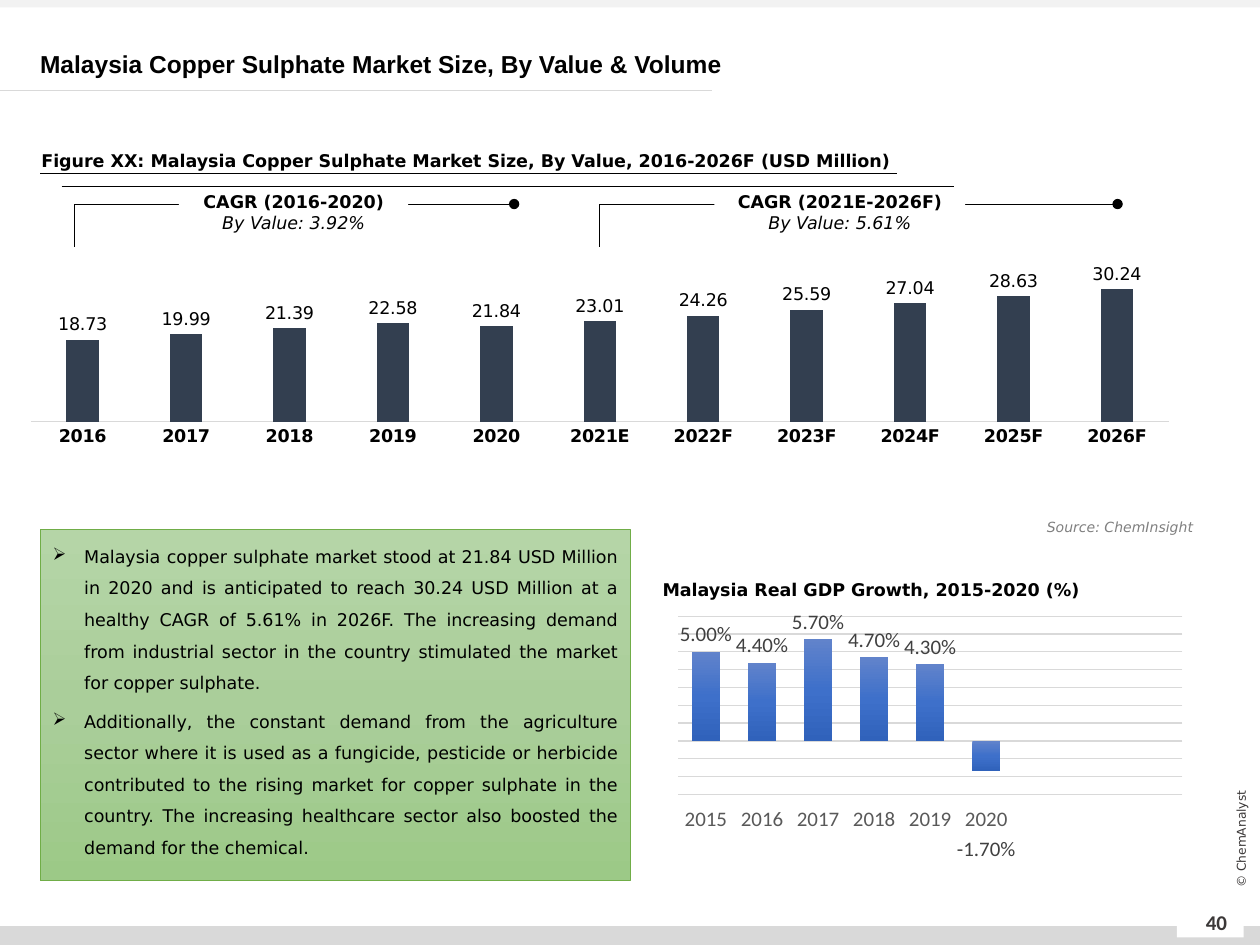
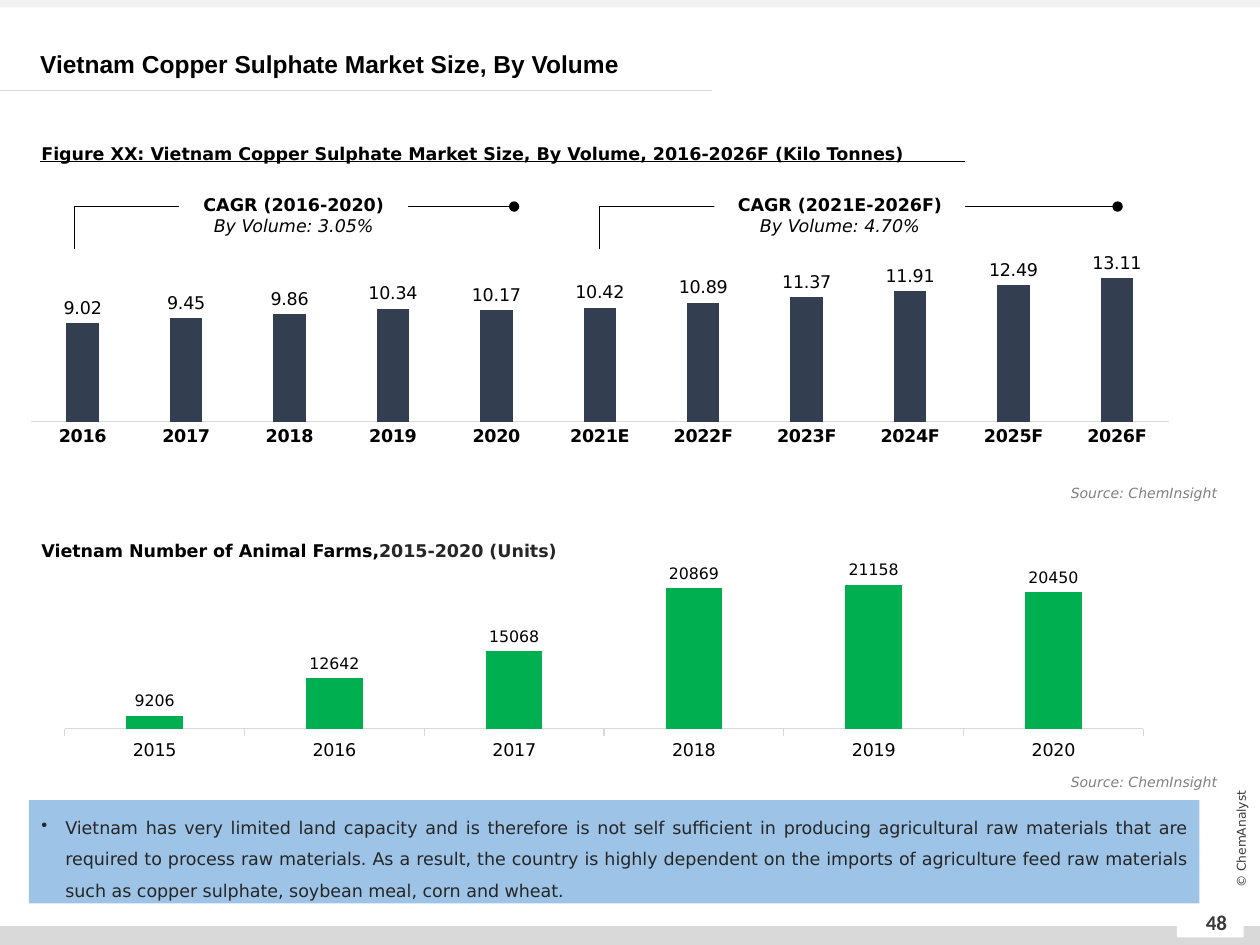
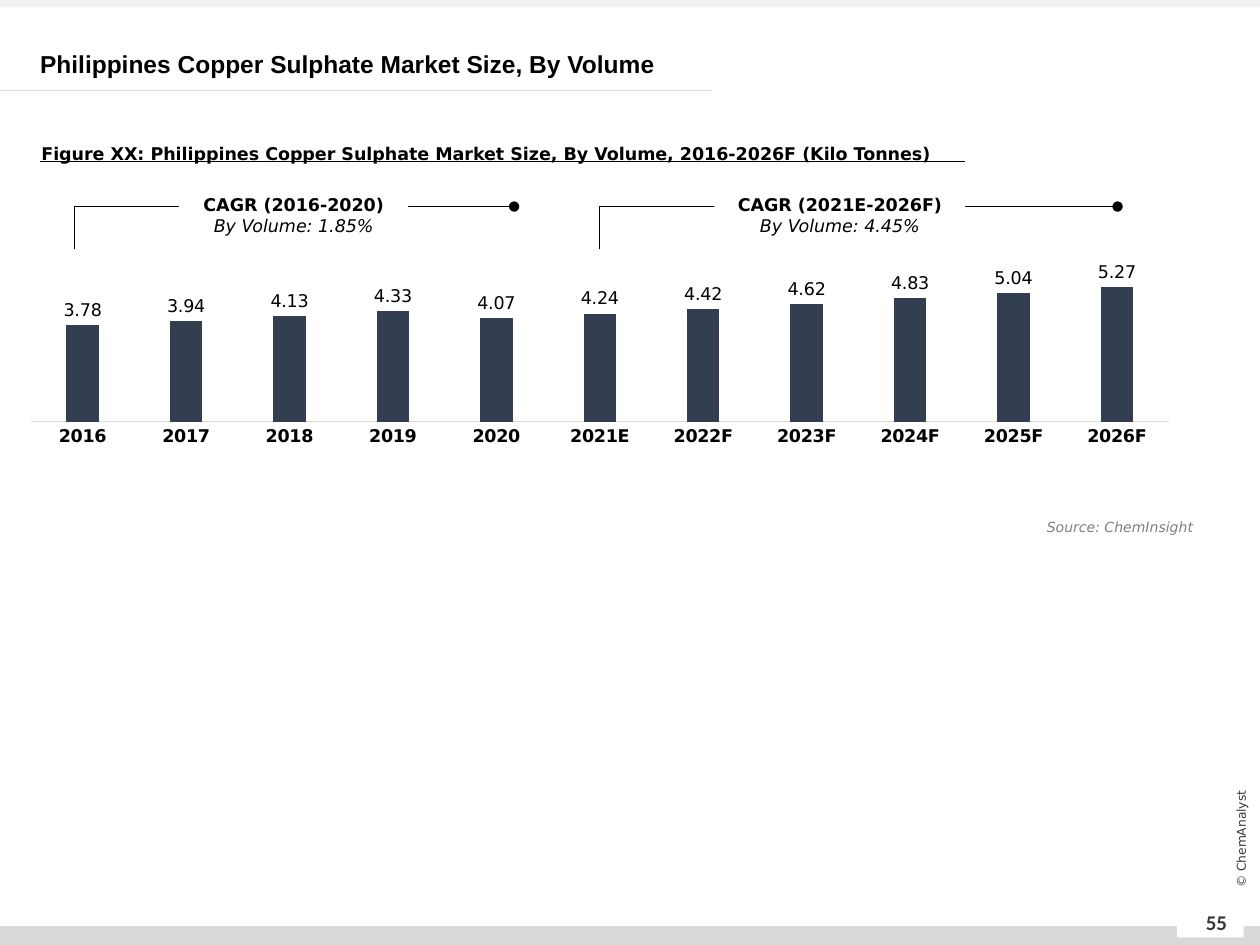
from dataclasses import dataclass
from typing import NamedTuple

from lxml.etree import SubElement
from pptx import Presentation
from pptx.chart.data import CategoryChartData
from pptx.dml.color import RGBColor
from pptx.enum.chart import (XL_CHART_TYPE, XL_LABEL_POSITION, XL_TICK_LABEL_POSITION,
                             XL_TICK_MARK)
from pptx.enum.shapes import MSO_CONNECTOR, MSO_SHAPE
from pptx.enum.text import MSO_ANCHOR, PP_ALIGN
from pptx.oxml.ns import qn
from pptx.util import Inches, Pt

COLORS = {
    "black": "000000", "white": "FFFFFF", "ink": "262626", "footer_text": "3B3838",
    "rule": "D9D9D9", "top_band": "F2F2F2", "source": "808080", "label": "404040",
    "axis_text": "595959", "navy": "333F50", "green": "00B050", "panel_blue": "9DC3E6",
    "panel_line": "70AD47",
}
PANEL_GRADIENT = ("B5D5A7", "AACE9A", "9CC987")
BAR_GRADIENT = ("6183CB", "3E70CA", "3062BB")
BODY, TITLE, PLAIN = "DejaVu Sans", "Arial", "Calibri"
SOURCE = "Source: ChemInsight"
YEARS = [str(year) for year in range(2016, 2021)] + ["2021E"] + [
    f"{year}F" for year in range(2022, 2027)]
RECENT_YEARS = [str(year) for year in range(2015, 2021)]


class Box(NamedTuple):
    left: float
    top: float
    width: float
    height: float

    def lengths(self) -> list:
        return [Inches(value) for value in self]


class Run(NamedTuple):
    text: str
    bold: bool = False
    italic: bool = False
    color: str = "black"


class Callout(NamedTuple):
    """A CAGR label on a bracket over a span of years."""
    period: str
    start: float
    end: float
    box_left: float
    box_width: float


CALLOUTS = (Callout("2021E-2026F", 4.76, 8.87, 5.67, 1.99),
            Callout("2016-2020", 0.59, 4.08, 1.42, 1.82))


@dataclass
class Market:
    country: str
    page: int
    title_measure: str
    measure: str
    unit: str
    values: list
    axis_max: float
    forecast_rate: str
    past_rate: str
    source: tuple = (7.16, 4.07)
    figure_top: float = 1.0
    rule_y: float = 1.28
    rule_end: float = 7.66
    bracket_y: float = 1.64


@dataclass
class ColumnStyle:
    fill: object = "navy"
    axis_min: float = 0
    axis_max: float = 1
    number_format: str = "0.00"
    plot: tuple = (0, 0.16, 1, 0.584)
    gap: int = 219
    overlap: int = -27
    font: str = BODY
    axis_size: float = 10
    axis_bold: bool = False
    axis_color: str = "black"
    label_size: float = 10
    label_color: str = "black"
    tick: object = XL_TICK_MARK.NONE
    tick_labels: object = XL_TICK_LABEL_POSITION.NEXT_TO_AXIS
    grid_step: float = 0


def rgb(name: str) -> RGBColor:
    return RGBColor.from_string(COLORS[name])


def paint(fill, element, color) -> None:
    """Fill with a named colour, or with a top-to-bottom gradient of hex stops."""
    if isinstance(color, str):
        fill.solid()
        fill.fore_color.rgb = rgb(color)
        return
    fill.gradient()
    fill.gradient_angle = 270
    stops = element.find(".//" + qn("a:gsLst"))
    for stop in list(stops):
        stops.remove(stop)
    for index, value in enumerate(color):
        position = 100000 * index // (len(color) - 1)
        stop = SubElement(stops, qn("a:gs"), pos=str(position))
        SubElement(stop, qn("a:srgbClr"), val=value)


def style_font(font, name: str, size: float, color: str, bold=False, italic=False) -> None:
    font.name, font.size, font.bold, font.italic = name, Pt(size), bold, italic
    font.color.rgb = rgb(color)


def add_rectangle(slide, box: Box, fill, line: str = ""):
    shape = slide.shapes.add_shape(MSO_SHAPE.RECTANGLE, *box.lengths())
    shape.shadow.inherit = False
    paint(shape.fill, shape.element, fill)
    if line:
        shape.line.color.rgb = rgb(line)
        shape.line.width = Pt(0.5)
    else:
        shape.line.fill.background()
    return shape


def add_text(slide, box: Box, *paragraphs, font=BODY, size=10, color="black", bold=False,
             italic=False, align=PP_ALIGN.LEFT, anchor=MSO_ANCHOR.TOP, spacing=None,
             space_before=0, bullet="", indent=0.0, fill=None, line="", rotation=0):
    """Write paragraphs, each a string or a list of runs, in a text box or a filled box."""
    if fill:
        shape = add_rectangle(slide, box, fill, line)
    else:
        shape = slide.shapes.add_textbox(*box.lengths())
    shape.rotation = rotation
    frame = shape.text_frame
    frame.word_wrap = True
    frame.vertical_anchor = anchor
    for index, content in enumerate(paragraphs):
        paragraph = frame.add_paragraph() if index else frame.paragraphs[0]
        paragraph.alignment = align
        if spacing:
            paragraph.line_spacing = spacing
        if index and space_before:
            paragraph.space_before = Pt(space_before)
        if bullet:
            properties = paragraph._p.get_or_add_pPr()
            properties.set("marL", str(Inches(indent)))
            properties.set("indent", str(-Inches(indent)))
            SubElement(properties, qn("a:buChar"), char=bullet)
        runs = [Run(content, bold, italic, color)] if isinstance(content, str) else content
        for part in runs:
            run = paragraph.add_run()
            run.text = part.text
            style_font(run.font, font, size, part.color, part.bold, part.italic)
    return shape


def add_line(slide, start: tuple, end: tuple, color="black", kind=MSO_CONNECTOR.STRAIGHT):
    points = [Inches(value) for value in (*start, *end)]
    connector = slide.shapes.add_connector(kind, *points)
    connector.line.color.rgb = rgb(color)
    connector.line.width = Pt(0.5)
    SubElement(connector.element.spPr, qn("a:effectLst"))
    return connector


def add_bracket(slide, start: tuple, end: tuple) -> None:
    """Draw a line that rises, turns right and ends in a dot."""
    properties = add_line(slide, start, end, kind=MSO_CONNECTOR.ELBOW).element.spPr
    adjustments = properties.find(".//" + qn("a:avLst"))
    if adjustments is None:
        adjustments = SubElement(properties.find(qn("a:prstGeom")), qn("a:avLst"))
    SubElement(adjustments, qn("a:gd"), name="adj1", fmla="val 0")
    SubElement(properties.find(qn("a:ln")), qn("a:tailEnd"), type="oval")


def add_layout(parent, index: int, **settings) -> None:
    """Give a chart part a manual layout."""
    for old in parent.findall(qn("c:layout")):
        parent.remove(old)
    layout = SubElement(parent, qn("c:layout"))
    manual = SubElement(layout, qn("c:manualLayout"))
    for name, value in settings.items():
        SubElement(manual, qn(f"c:{name}"), val=str(value))
    parent.insert(index, layout)


def add_columns(slide, box: Box, categories: list, values: list, style: ColumnStyle):
    data = CategoryChartData(number_format=style.number_format)
    data.categories = categories
    data.add_series("Series 1", values)
    chart = slide.shapes.add_chart(
        XL_CHART_TYPE.COLUMN_CLUSTERED, *box.lengths(), data).chart
    chart.has_legend = chart.has_title = False
    style_font(chart.font, style.font, 10, "black")
    x, y, width, height = style.plot
    add_layout(chart.element.find(".//" + qn("c:plotArea")), 0, layoutTarget="inner",
               xMode="edge", yMode="edge", x=x, y=y, w=width, h=height)

    # Columns and labels
    plot = chart.plots[0]
    plot.gap_width, plot.overlap, plot.vary_by_categories = style.gap, style.overlap, False
    series = plot.series[0]
    series.invert_if_negative = False
    paint(series.format.fill, chart.element, style.fill)
    labels = series.data_labels
    labels.show_value = True
    labels.position = XL_LABEL_POSITION.OUTSIDE_END
    labels.number_format, labels.number_format_is_linked = style.number_format, False
    style_font(labels.font, style.font, style.label_size, style.label_color)
    for leader_lines in chart.element.iter(qn("c:showLeaderLines")):
        leader_lines.set("val", "0")

    # Axes
    axis = chart.category_axis
    axis.major_tick_mark, axis.minor_tick_mark = style.tick, XL_TICK_MARK.NONE
    axis.tick_label_position = style.tick_labels
    axis.format.line.color.rgb = rgb("rule")
    axis.format.line.width = Pt(0.75)
    style_font(axis.tick_labels.font, style.font, style.axis_size, style.axis_color,
               style.axis_bold)
    scale = chart.value_axis
    scale.major_tick_mark = scale.minor_tick_mark = XL_TICK_MARK.NONE
    scale.minimum_scale, scale.maximum_scale = style.axis_min, style.axis_max
    scale.has_major_gridlines = bool(style.grid_step)
    if style.grid_step:
        scale.major_unit = style.grid_step
        scale.major_gridlines.format.line.color.rgb = rgb("rule")
        scale.major_gridlines.format.line.width = Pt(0.75)
    scale.visible = False
    return chart


def add_heading(slide, left: float, top: float, *runs: Run) -> None:
    add_text(slide, Box(left, top, 8.82, 0.32), list(runs), spacing=1.5)


def add_source(slide, left: float, top: float) -> None:
    add_text(slide, Box(left, top, 2.41, 0.24), SOURCE, size=8, color="source",
             italic=True, align=PP_ALIGN.RIGHT)


def add_frame(slide, title: str, page: int) -> None:
    """Bands, page number, copyright and title."""
    add_rectangle(slide, Box(0, 7.35, 10, 0.15), "rule")
    add_rectangle(slide, Box(0, 0, 10, 0.06), "top_band")
    add_rectangle(slide, Box(9.34, 7.22, 0.53, 0.22), "white")
    add_line(slide, (0, 0.72), (5.65, 0.72), "rule")
    centred = {"align": PP_ALIGN.CENTER, "anchor": MSO_ANCHOR.MIDDLE, "color": "footer_text"}
    add_text(slide, Box(9.41, 7.12, 0.49, 0.4), str(page), font=PLAIN, size=12, bold=True,
             **centred)
    add_text(slide, Box(9.25, 6.58, 1.2, 0.16), "© ChemAnalyst", size=7, rotation=270,
             **centred)
    add_text(slide, Box(0.22, 0.34, 9.76, 0.32), title, font=TITLE, size=14, bold=True,
             anchor=MSO_ANCHOR.MIDDLE, spacing=Pt(17))


def add_market_slide(presentation, market: Market):
    slide = presentation.slides.add_slide(presentation.slide_layouts[6])
    subject = f"{market.country} Copper Sulphate Market Size, By"
    add_frame(slide, f"{subject} {market.title_measure}", market.page)
    add_columns(slide, Box(0.24, 1.8, 9.04, 2.08), YEARS, market.values,
                ColumnStyle(axis_max=market.axis_max, axis_bold=True))

    # Growth brackets
    for callout, rate in zip(CALLOUTS, (market.forecast_rate, market.past_rate)):
        add_bracket(slide, (callout.start, market.bracket_y + 0.34),
                    (callout.end, market.bracket_y))
        add_text(slide, Box(callout.box_left, market.bracket_y - 0.22, callout.box_width, 0.57),
                 [Run(f"CAGR ({callout.period})", bold=True)],
                 [Run(f"By {market.measure}: {rate}", italic=True)],
                 fill="white", align=PP_ALIGN.CENTER, anchor=MSO_ANCHOR.MIDDLE)

    # Figure heading and source
    add_heading(slide, 0.23, market.figure_top, Run(
        f"Figure XX: {subject} {market.measure}, 2016-2026F ({market.unit})", bold=True))
    add_line(slide, (0.32, market.rule_y), (market.rule_end, market.rule_y))
    add_source(slide, *market.source)
    return slide


def add_malaysia_details(slide) -> None:
    add_line(slide, (0.49, 1.48), (7.57, 1.48))

    # GDP growth chart
    style = ColumnStyle(
        fill=BAR_GRADIENT, axis_min=-0.03, axis_max=0.07, grid_step=0.01,
        number_format="0.00%", plot=(0.01, 0.05, 0.99, 0.7), gap=100, overlap=-24,
        font=PLAIN, axis_size=12, axis_color="axis_text", label_size=12, label_color="label",
        tick_labels=XL_TICK_LABEL_POSITION.LOW)
    chart = add_columns(slide, Box(5.34, 4.79, 4.05, 2.05), RECENT_YEARS + [""] * 3,
                        [0.05, 0.044, 0.057, 0.047, 0.043, -0.017] + [None] * 3, style)
    # The negative label sits below the year labels
    label = chart.plots[0].series[0].points[5].data_label
    style_font(label.font, PLAIN, 12, "label")
    label.position = XL_LABEL_POSITION.OUTSIDE_END
    add_layout(chart.element.find(".//" + qn("c:dLbl")), 1, x=0, y=0.24)
    add_heading(slide, 5.16, 4.46, Run("Malaysia Real GDP Growth, 2015-2020 (%)", bold=True))

    # Commentary
    add_text(
        slide, Box(0.32, 4.2, 4.68, 2.79),
        "Malaysia copper sulphate market stood at 21.84 USD Million in 2020 and is anticipated "
        "to reach 30.24 USD Million at a healthy CAGR of 5.61% in 2026F. The increasing demand "
        "from industrial sector in the country stimulated the market for copper sulphate.",
        "Additionally, the constant demand from the agriculture sector where it is used as a "
        "fungicide, pesticide or herbicide contributed to the rising market for copper sulphate "
        "in the country. The increasing healthcare sector also boosted the demand for the "
        "chemical.",
        fill=PANEL_GRADIENT, line="panel_line", align=PP_ALIGN.JUSTIFY, spacing=1.5,
        space_before=4, bullet="➢", indent=0.25)


def add_vietnam_details(slide) -> None:
    # Commentary
    add_text(
        slide, Box(0.23, 6.35, 9.29, 0.82),
        "Vietnam has very limited land capacity and is therefore is not self sufficient in "
        "producing agricultural raw materials that are required to process raw materials. As a "
        "result, the country is highly dependent on the imports of agriculture feed raw "
        "materials such as copper sulphate, soybean meal, corn and wheat.",
        fill="panel_blue", color="ink", align=PP_ALIGN.JUSTIFY, spacing=1.5, bullet="•",
        indent=0.19)

    # Animal farms chart
    add_heading(slide, 0.23, 4.15, Run("Vietnam Number of Animal Farms,", bold=True),
                Run("2015-2020 (Units)", bold=True, color="ink"))
    style = ColumnStyle(fill="green", axis_min=8000, axis_max=22000, number_format="0",
                        plot=(0.023, 0.097, 0.964, 0.747), label_size=9,
                        tick=XL_TICK_MARK.OUTSIDE)
    add_columns(slide, Box(0.31, 4.41, 8.88, 1.63), RECENT_YEARS,
                [9206, 12642, 15068, 20869, 21158, 20450], style)
    add_source(slide, 7.35, 6.09)


def main() -> None:
    presentation = Presentation()
    presentation.slide_width, presentation.slide_height = Inches(10), Inches(7.5)

    malaysia = Market(
        "Malaysia", 40, "Value & Volume", "Value", "USD Million",
        [18.73, 19.99, 21.39, 22.58, 21.84, 23.01, 24.26, 25.59, 27.04, 28.63, 30.24],
        35, "5.61%", "3.92%", figure_top=1.06, rule_y=1.38, rule_end=7.12, bracket_y=1.62)
    vietnam = Market(
        "Vietnam", 48, "Volume", "Volume", "Kilo Tonnes",
        [9.02, 9.45, 9.86, 10.34, 10.17, 10.42, 10.89, 11.37, 11.91, 12.49, 13.11],
        14, "4.70%", "3.05%", source=(7.35, 3.8))
    philippines = Market(
        "Philippines", 55, "Volume", "Volume", "Kilo Tonnes",
        [3.78, 3.94, 4.13, 4.33, 4.07, 4.24, 4.42, 4.62, 4.83, 5.04, 5.27],
        6, "4.45%", "1.85%")

    add_malaysia_details(add_market_slide(presentation, malaysia))
    add_vietnam_details(add_market_slide(presentation, vietnam))
    add_market_slide(presentation, philippines)
    presentation.save("out.pptx")


if __name__ == "__main__":
    main()
